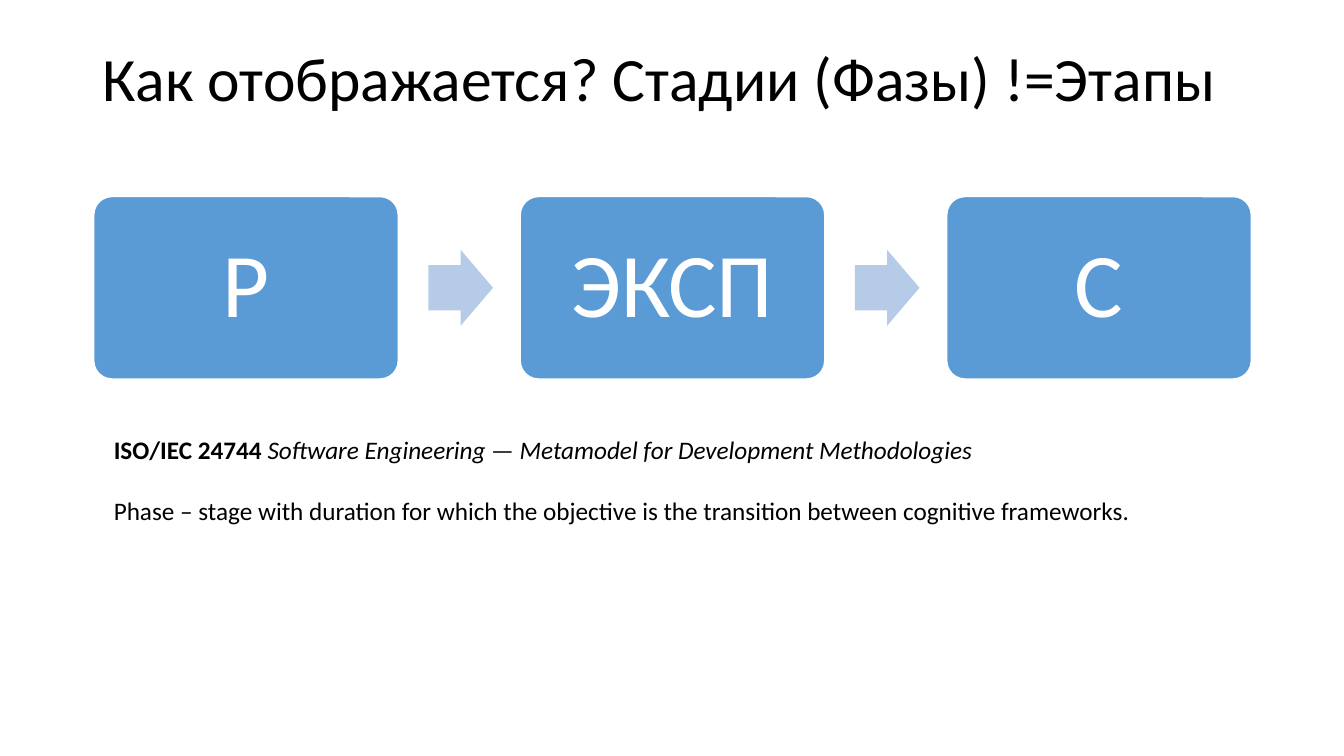
from pptx import Presentation
from pptx.dml.color import RGBColor
from pptx.enum.shapes import MSO_SHAPE
from pptx.enum.text import MSO_ANCHOR, PP_ALIGN
from pptx.util import Inches, Pt

ROUNDED, ARROW = MSO_SHAPE.ROUNDED_RECTANGLE, MSO_SHAPE.RIGHT_ARROW
MIDDLE, TOP = MSO_ANCHOR.MIDDLE, MSO_ANCHOR.TOP
LEFT, CENTER = PP_ALIGN.LEFT, PP_ALIGN.CENTER

TITLE = "Как отображается? Стадии (Фазы) !=Этапы"
STAGES = ["Р", "ЭКСП", "С"]
DEFINITION = [
    [("ISO/IEC 24744 ", {"bold": True}),
     ("Software Engineering — Metamodel for Development Methodologies", {"italic": True})],
    [("Phase – stage with duration for which the objective is the transition "
      "between cognitive frameworks.", {})],
]
COLORS = {"text": "000000", "stage": "5B9BD5", "arrow": "B5CBE7", "white": "FFFFFF"}
FONT = "Calibri"

SLIDE_WIDTH, SLIDE_HEIGHT = 13.33, 7.5
TITLE_BOX = (0.92, 0.4, 11.5, 0.81)
DEFINITION_BOX = (1.03, 4.26, 10.32, 1.01)
STAGE_LEFT, STAGE_TOP, STAGE_WIDTH, STAGE_HEIGHT = 0.93, 1.95, 3.02, 1.81
STAGE_STEP = 4.23
ARROW_OFFSET, ARROW_WIDTH, ARROW_HEIGHT = 3.32, 0.64, 0.75


def color(name):
    """Return the named palette colour."""
    return RGBColor.from_string(COLORS[name])


def write(shape, paragraphs, size, ink="text", anchor=TOP, **formats):
    """Fill a shape with formatted paragraphs of runs."""
    frame = shape.text_frame
    frame.word_wrap = True
    frame.vertical_anchor = anchor
    for index, runs in enumerate(paragraphs):
        paragraph = frame.add_paragraph() if index else frame.paragraphs[0]
        paragraph.space_before = Pt(22 if index else 0)
        for name, value in formats.items():
            setattr(paragraph, name, value)
        for text, styles in runs:
            run = paragraph.add_run()
            run.text = text
            run.font.color.rgb = color(ink)
            for name, value in {"name": FONT, "size": Pt(size), **styles}.items():
                setattr(run.font, name, value)


def add_box(slide, box):
    """Add a text box at the given place."""
    return slide.shapes.add_textbox(*map(Inches, box))


def add_preset(slide, kind, box, fill, adjustments):
    """Add a filled preset shape without shadow or line."""
    shape = slide.shapes.add_shape(kind, *map(Inches, box))
    shape.shadow.inherit = False
    shape.fill.solid()
    shape.fill.fore_color.rgb = color(fill)
    shape.line.fill.background()
    for index, value in enumerate(adjustments):
        shape.adjustments[index] = value
    return shape


presentation = Presentation()
presentation.slide_width = Inches(SLIDE_WIDTH)
presentation.slide_height = Inches(SLIDE_HEIGHT)
slide = presentation.slides.add_slide(presentation.slide_layouts[6])

write(add_box(slide, TITLE_BOX), [[(TITLE, {})]], 44,
      anchor=MIDDLE, alignment=LEFT, line_spacing=0.9)

arrow_top = STAGE_TOP + (STAGE_HEIGHT - ARROW_HEIGHT) / 2
for index, name in enumerate(STAGES):
    left = STAGE_LEFT + index * STAGE_STEP
    stage = add_preset(slide, ROUNDED, (left, STAGE_TOP, STAGE_WIDTH, STAGE_HEIGHT),
                       "stage", [0.1])
    stage.line.color.rgb = color("white")
    stage.line.width = Pt(1)
    write(stage, [[(name, {})]], 65, "white", MIDDLE, alignment=CENTER, line_spacing=0.9)
    if index < len(STAGES) - 1:
        add_preset(slide, ARROW, (left + ARROW_OFFSET, arrow_top, ARROW_WIDTH, ARROW_HEIGHT),
                   "arrow", [0.6, 0.5])

write(add_box(slide, DEFINITION_BOX), DEFINITION, 18, alignment=LEFT)

presentation.save("out.pptx")
